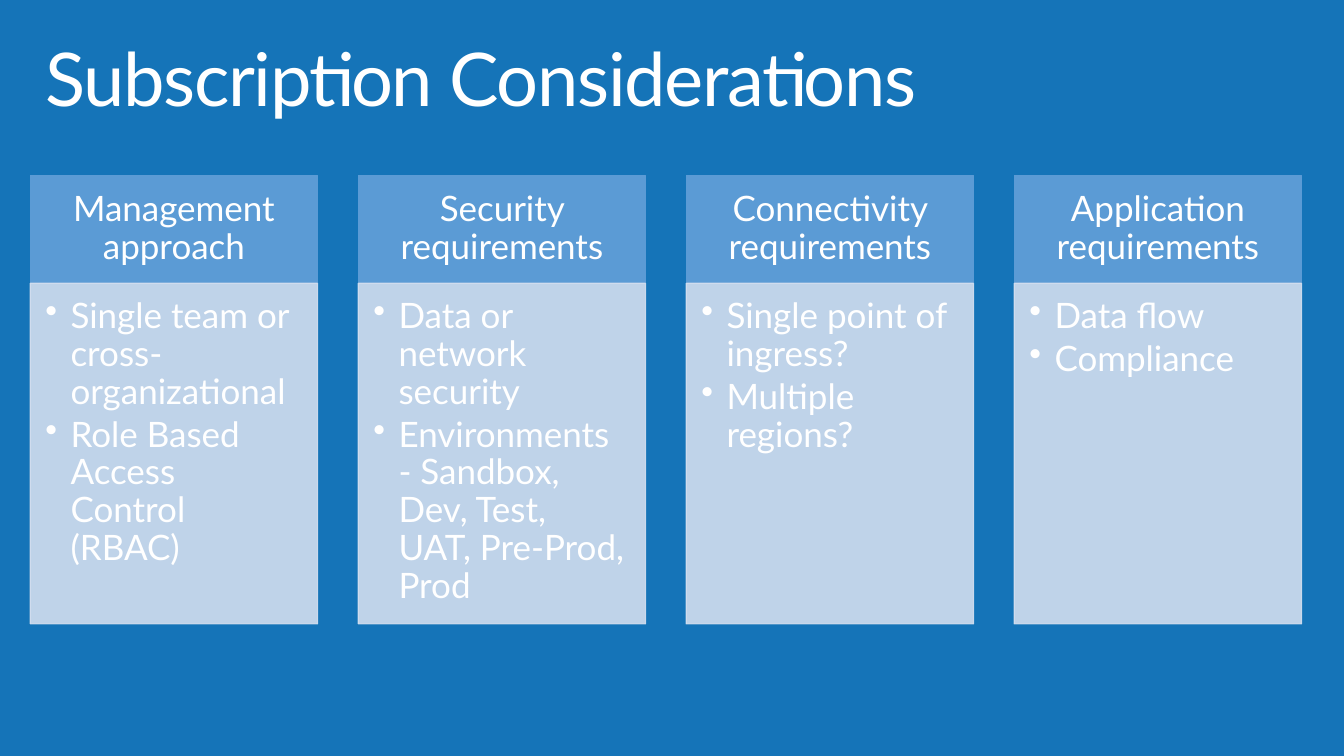
from lxml.etree import SubElement
from pptx import Presentation
from pptx.dml.color import RGBColor
from pptx.enum.shapes import MSO_SHAPE
from pptx.enum.text import MSO_ANCHOR, MSO_AUTO_SIZE, PP_ALIGN
from pptx.oxml.ns import qn
from pptx.util import Inches, Pt

COLORS = {"background": "1574B8", "header": "5B9BD5", "body": "D2DEEF", "text": "FFFFFF"}
FONT = "Lato"
BODY_OPACITY = 90
HEADER_HEIGHT, BODY_HEIGHT = 1.06, 3.38
COLUMN_WIDTH, COLUMN_PITCH = 2.85, 3.253

COLUMNS = [
    ("Management approach",
     ["Single team or cross-organizational", "Role Based Access Control (RBAC)"]),
    ("Security requirements",
     ["Data or network security", "Environments - Sandbox, Dev, Test, UAT, Pre-Prod, Prod"]),
    ("Connectivity requirements",
     ["Single point of ingress?", "Multiple regions?"]),
    ("Application requirements",
     ["Data flow", "Compliance"]),
]


def color(name):
    return RGBColor.from_string(COLORS[name])


def set_frame(tf, anchor, insets):
    left, top, right, bottom = map(Inches, insets)
    formats = {"word_wrap": True, "auto_size": MSO_AUTO_SIZE.NONE, "vertical_anchor": anchor,
               "margin_left": left, "margin_top": top,
               "margin_right": right, "margin_bottom": bottom}
    for name, value in formats.items():
        setattr(tf, name, value)


def write(p, text, size, align, after=0):
    formats = {"alignment": align, "line_spacing": 0.9,
               "space_before": Pt(0), "space_after": Pt(after)}
    for name, value in formats.items():
        setattr(p, name, value)
    r = p.add_run()
    r.text = text
    r.font.name, r.font.size = FONT, Pt(size)
    r.font.color.rgb = color("text")
    return r


def add_bullet(p):
    p.level = 1
    pPr = p._p.get_or_add_pPr()
    pPr.set("marL", str(Inches(0.25)))
    pPr.set("indent", str(Inches(-0.25)))
    SubElement(pPr, qn("a:buChar")).set("char", "•")


def add_panel(s, box, fill, opacity=100):
    sp = s.shapes.add_shape(MSO_SHAPE.RECTANGLE, *map(Inches, box))
    sp.shadow.inherit = False
    sp.fill.solid()
    sp.fill.fore_color.rgb = color(fill)
    sp.line.color.rgb = color(fill)
    sp.line.width = Pt(0.85)
    if opacity < 100:
        for clr in sp._element.spPr.iter(qn("a:srgbClr")):
            SubElement(clr, qn("a:alpha")).set("val", str(opacity * 1000))
    return sp


def add_title(s, box, text):
    sp = s.shapes.title
    sp.left, sp.top, sp.width, sp.height = map(Inches, box)
    set_frame(sp.text_frame, MSO_ANCHOR.TOP, (0.16, 0.1, 0.16, 0.1))
    r = write(sp.text_frame.paragraphs[0], text, 52.9, PP_ALIGN.LEFT)
    r.font._element.set("spc", "-100")


def add_column(s, left, top, heading, points):
    # Header
    sp = add_panel(s, (left, top, COLUMN_WIDTH, HEADER_HEIGHT), "header")
    set_frame(sp.text_frame, MSO_ANCHOR.MIDDLE, (0.19, 0.11, 0.19, 0.11))
    write(sp.text_frame.paragraphs[0], heading, 25, PP_ALIGN.CENTER)

    # Bulleted body
    box = (left, top + HEADER_HEIGHT + 0.01, COLUMN_WIDTH, BODY_HEIGHT)
    sp = add_panel(s, box, "body", BODY_OPACITY)
    tf = sp.text_frame
    set_frame(tf, MSO_ANCHOR.TOP, (0.15, 0.15, 0.19, 0.22))
    for i, point in enumerate(points):
        p = tf.add_paragraph() if i else tf.paragraphs[0]
        write(p, point, 25, PP_ALIGN.LEFT, after=3.75)
        add_bullet(p)


def main():
    prs = Presentation()
    prs.slide_width, prs.slide_height = Inches(13.33), Inches(7.5)
    s = prs.slides.add_slide(prs.slide_layouts[5])
    s.background.fill.solid()
    s.background.fill.fore_color.rgb = color("background")

    add_title(s, (0.29, 0.32, 12.62, 0.98), "Subscription Considerations")
    for i, (heading, points) in enumerate(COLUMNS):
        add_column(s, 0.3 + i * COLUMN_PITCH, 1.74, heading, points)
    prs.save("out.pptx")


if __name__ == "__main__":
    main()
